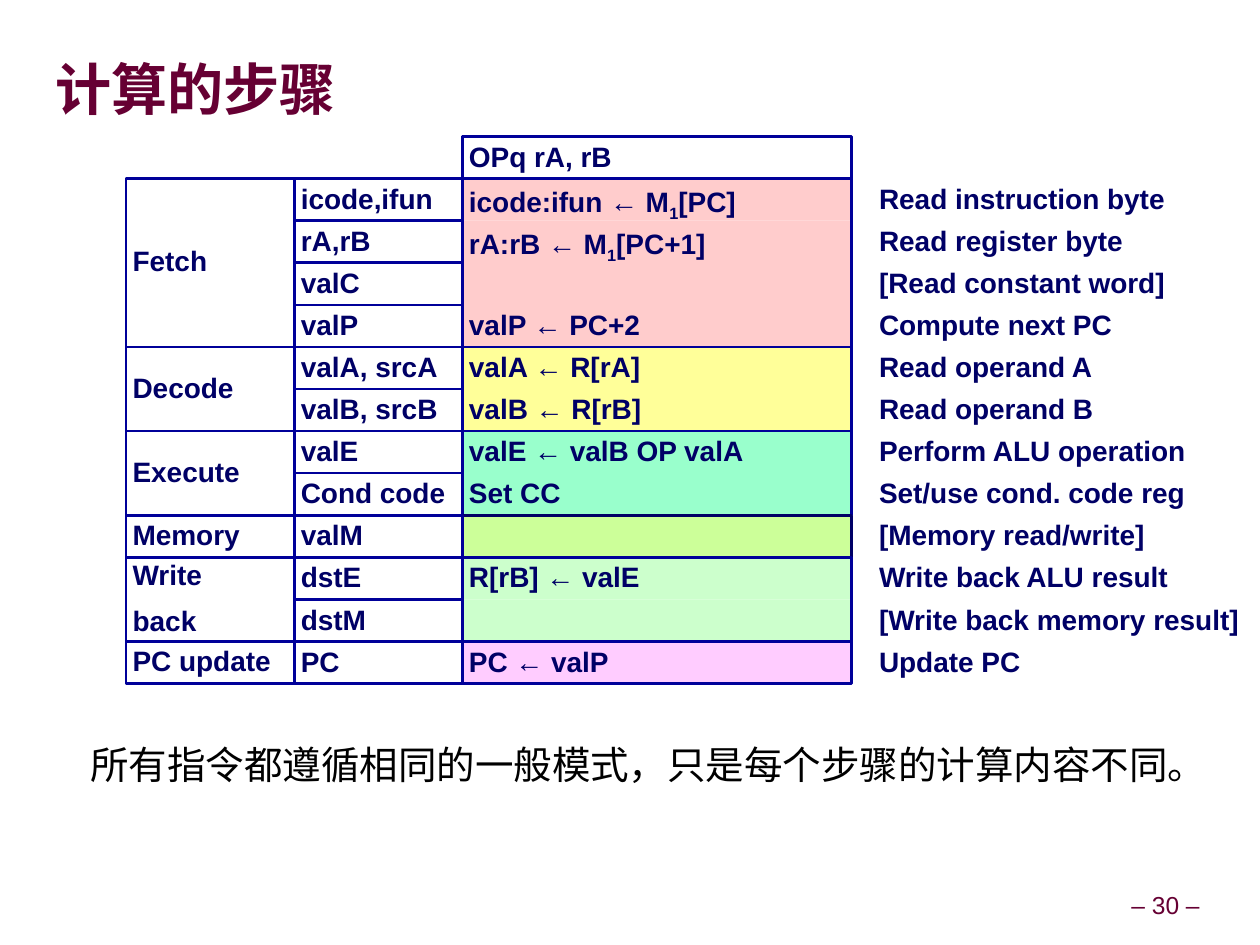
from lxml import etree
from pptx import Presentation
from pptx.dml.color import RGBColor
from pptx.enum.shapes import MSO_SHAPE as Shape
from pptx.enum.text import MSO_ANCHOR as Anchor, PP_ALIGN as Align
from pptx.oxml.ns import qn
from pptx.util import Cm, Pt

MAROON = RGBColor(0x66, 0x00, 0x33)
BLACK = RGBColor(0x00, 0x00, 0x00)
NAVY = RGBColor(0x00, 0x00, 0x66)
BLUE = RGBColor(0x00, 0x00, 0x99)
PINK = RGBColor(0xFF, 0xCC, 0xCC)
YELLOW = RGBColor(0xFF, 0xFF, 0x99)
AQUA = RGBColor(0x99, 0xFF, 0xCC)
LIME = RGBColor(0xCC, 0xFF, 0x99)
MINT = RGBColor(0xCC, 0xFF, 0xCC)
LILAC = RGBColor(0xFF, 0xCC, 0xFF)

LATIN_FONT, CHINESE_FONT = "Arial", "Noto Sans CJK SC"

# Grid in centimetres: a row is a third of an inch, a label is four rows wide
ROW = 2.54 / 3
LABEL_WIDTH = 4 * ROW
STAGE_LEFT = 2.54
VALUE_LEFT = STAGE_LEFT + LABEL_WIDTH
ACTION_LEFT = VALUE_LEFT + LABEL_WIDTH
NOTE_LEFT = 17.57
ACTION_WIDTH = 7.83
HEADER_TOP = 2.75

# Stage, fill, outline, then rows of value, action and note; ₁ marks a subscript
STAGES = [
    ("Fetch", PINK, BLUE, [
        ("icode,ifun", "icode:ifun ← M₁[PC]", "Read instruction byte"),
        ("rA,rB", "rA:rB ← M₁[PC+1]", "Read register byte"),
        ("valC", "", "[Read constant word]"),
        ("valP", "valP ← PC+2", "Compute next PC")]),
    ("Decode", YELLOW, BLUE, [
        ("valA, srcA", "valA ← R[rA]", "Read operand A"),
        ("valB, srcB", "valB ← R[rB]", "Read operand B")]),
    ("Execute", AQUA, BLUE, [
        ("valE", "valE ← valB OP valA", "Perform ALU operation"),
        ("Cond code", "Set CC", "Set/use cond. code reg")]),
    ("Memory", LIME, NAVY, [
        ("valM", "", "[Memory read/write]")]),
    ("Write\nback", MINT, BLUE, [
        ("dstE", "R[rB] ← valE", "Write back ALU result"),
        ("dstM", "", "[Write back memory result]")]),
    ("PC update", LILAC, BLUE, [
        ("PC", "PC ← valP", "Update PC")]),
]


def set_margins(text_frame, horizontal, vertical):
    text_frame.margin_left = text_frame.margin_right = Cm(horizontal)
    text_frame.margin_top = text_frame.margin_bottom = Cm(vertical)


def format_run(run, size, color, bold=False, font_name=LATIN_FONT):
    font = run.font
    font.name, font.size, font.bold = font_name, Pt(size), bold
    font.color.rgb = color
    if font_name == CHINESE_FONT:
        properties = run._r.get_or_add_rPr()
        etree.SubElement(properties, qn("a:ea"), typeface=font_name)


def fill_text(shape, text, anchor=Anchor.TOP):
    """Write bold grid text, one paragraph a line, with ₁ as a subscript."""
    text_frame = shape.text_frame
    text_frame.word_wrap = True
    text_frame.vertical_anchor = anchor
    set_margins(text_frame, 0.13, 0.13)
    text_frame.text = text
    for index, paragraph in enumerate(text_frame.paragraphs):
        paragraph.alignment = Align.LEFT
        paragraph.line_spacing = 0.9
        if index:
            paragraph.space_before = Pt(8.5)
        before, mark, after = paragraph.text.partition("₁")
        if mark:
            paragraph.text = before
            for part in ("1", after):
                paragraph.add_run().text = part
            paragraph.runs[1]._r.get_or_add_rPr().set("baseline", "-25000")
        for run in paragraph.runs:
            format_run(run, 16, NAVY, bold=True)


def add_cell(slide, left, top, width, rows=1, text="", fill=None, line=None,
             anchor=Anchor.TOP):
    cell = slide.shapes.add_shape(
        Shape.RECTANGLE, Cm(left), Cm(top), Cm(width), Cm(rows * ROW))
    cell.shadow.inherit = False
    if fill is None:
        cell.fill.background()
    else:
        cell.fill.solid()
        cell.fill.fore_color.rgb = fill
    if line is None:
        cell.line.fill.background()
    else:
        cell.line.color.rgb = line
        cell.line.width = Pt(1.5)
    if text:
        fill_text(cell, text, anchor)


def add_note(slide, top, text):
    note = slide.shapes.add_textbox(
        Cm(NOTE_LEFT), Cm(top), Cm(ACTION_WIDTH), Cm(ROW))
    fill_text(note, text)


def add_text(slide, box, text, size, color, margins, bold=False,
             font_name=CHINESE_FONT, anchor=Anchor.MIDDLE, wrap=True):
    """Add a one-paragraph text box and return the paragraph."""
    text_frame = slide.shapes.add_textbox(*map(Cm, box)).text_frame
    text_frame.word_wrap = wrap
    text_frame.vertical_anchor = anchor
    set_margins(text_frame, *margins)
    text_frame.text = text
    paragraph = text_frame.paragraphs[0]
    format_run(paragraph.runs[0], size, color, bold, font_name)
    return paragraph


def add_stage(slide, top, name, fill, outline, steps):
    count = len(steps)
    single = count == 1
    for index, (value, action, note) in enumerate(steps):
        row_top = top + index * ROW
        add_cell(slide, ACTION_LEFT, row_top, ACTION_WIDTH, text=action,
                 fill=fill, line=outline if single else None)
        add_note(slide, row_top, note)
    # Frame around the borderless action cells
    if not single:
        add_cell(slide, ACTION_LEFT, top, ACTION_WIDTH, count, line=outline)
    add_cell(slide, STAGE_LEFT, top, LABEL_WIDTH, count, name, line=BLUE,
             anchor=Anchor.MIDDLE)
    for index, (value, action, note) in enumerate(steps):
        add_cell(slide, VALUE_LEFT, top + index * ROW, LABEL_WIDTH,
                 text=value, line=BLUE)


def main():
    presentation = Presentation()
    presentation.slide_width, presentation.slide_height = Cm(25.37), Cm(19.02)
    slide = presentation.slides.add_slide(presentation.slide_layouts[6])

    # Slide number and title
    number = add_text(slide, (22.63, 17.86, 1.68, 0.79), "– 30 –", 14, MAROON,
                      (0.13, 0.13), font_name=LATIN_FONT, wrap=False)
    number.alignment = Align.CENTER
    number.line_spacing = 0.9
    add_text(slide, (1.12, 0.69, 23.19, 2.16), "计算的步骤", 32, MAROON,
             (0, 0), bold=True)

    # Closing remark
    remark = add_text(slide, (0.81, 14.6, 23.04, 1.7),
                      "所有指令都遵循相同的一般模式，只是每个步骤的计算内容不同。",
                      22, BLACK, (0.25, 0.13), anchor=Anchor.TOP)
    remark.line_spacing = 1.2
    remark.space_before = Pt(3)
    remark._p.get_or_add_pPr().set("marL", str(Cm(0.76)))

    # Instruction header and stages
    add_cell(slide, ACTION_LEFT, HEADER_TOP, ACTION_WIDTH,
             text="OPq rA, rB", line=BLUE)
    top = HEADER_TOP + ROW
    for name, fill, outline, steps in STAGES:
        add_stage(slide, top, name, fill, outline, steps)
        top += len(steps) * ROW

    presentation.save("out.pptx")


main()
